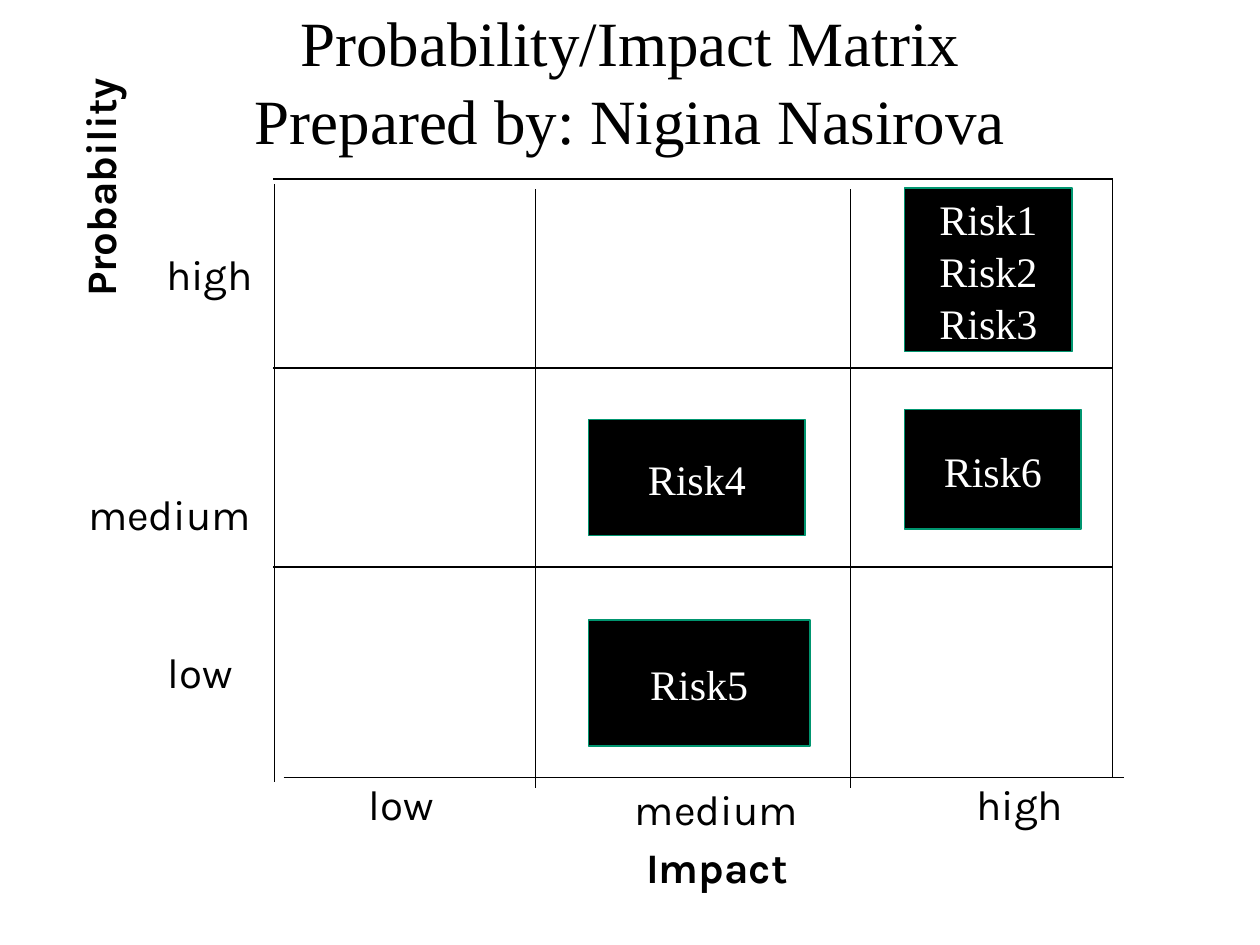
"""Builds a probability/impact risk matrix slide."""
from lxml.etree import SubElement
from pptx import Presentation
from pptx.dml.color import RGBColor
from pptx.enum.shapes import MSO_CONNECTOR, MSO_SHAPE
from pptx.enum.text import MSO_ANCHOR, MSO_AUTO_SIZE, PP_ALIGN
from pptx.oxml.ns import qn
from pptx.util import Inches, Pt


def rgb(value):
    return RGBColor.from_string(value)


class MatrixSlide:
    SERIF, SANS = "Times New Roman", "Karla"
    BLACK, WHITE, GREEN = "000000", "FFFFFF", "00956F"
    SPACING = 1.04

    def __init__(self, slide):
        self.s = slide

    def run(self, p, text, size, font, color, bold=False):
        r = p.add_run()
        r.text = text
        r.font.size = Pt(size)
        r.font.name = font
        r.font.bold = bold
        r.font.color.rgb = rgb(color)

    def title(self, lines):
        sp = self.s.shapes.title
        sp.left, sp.top, sp.width, sp.height = map(Inches, (0, 0, 10, 1.25))
        tf = sp.text_frame
        tf.auto_size = MSO_AUTO_SIZE.NONE
        tf.vertical_anchor = MSO_ANCHOR.MIDDLE
        p = tf.paragraphs[0]
        p.alignment = PP_ALIGN.CENTER
        p.line_spacing = self.SPACING
        for i, line in enumerate(lines):
            if i:
                p.add_line_break()
            self.run(p, line, 36, self.SERIF, self.BLACK)

    def label(self, text, left, top, width, bold=False, rotation=0):
        sp = self.s.shapes.add_textbox(*map(Inches, (left, top, width, 0.5)))
        sp.rotation = rotation
        tf = sp.text_frame
        tf.word_wrap = bool(rotation)
        tf.auto_size = MSO_AUTO_SIZE.NONE if rotation else MSO_AUTO_SIZE.SHAPE_TO_FIT_TEXT
        self.run(tf.paragraphs[0], text, 24, self.SANS, self.BLACK, bold)

    def line(self, x1, y1, x2, y2):
        ln = self.s.shapes.add_connector(
            MSO_CONNECTOR.STRAIGHT, *map(Inches, (x1, y1, x2, y2)))
        ln.line.color.rgb = rgb(self.BLACK)
        ln.line.width = Pt(0.75)
        SubElement(ln._element.spPr, qn("a:effectLst"))

    def risk_box(self, risks, left, top, width, height):
        sp = self.s.shapes.add_shape(
            MSO_SHAPE.RECTANGLE, *map(Inches, (left, top, width, height)))
        sp.shadow.inherit = False
        sp.fill.solid()
        sp.fill.fore_color.rgb = rgb(self.BLACK)
        sp.line.color.rgb = rgb(self.GREEN)
        sp.line.width = Pt(1)
        tf = sp.text_frame
        tf.vertical_anchor = MSO_ANCHOR.MIDDLE
        for i, risk in enumerate(risks):
            p = tf.add_paragraph() if i else tf.paragraphs[0]
            p.alignment = PP_ALIGN.CENTER
            p.line_spacing = self.SPACING
            self.run(p, risk, 24, self.SERIF, self.WHITE)


def main():
    prs = Presentation()
    prs.slide_width, prs.slide_height = Inches(10), Inches(7.5)
    m = MatrixSlide(prs.slides.add_slide(prs.slide_layouts[5]))

    m.title(["Probability/Impact Matrix", "Prepared by: Nigina Nasirova"])
    m.line(2.18, 1.46, 2.18, 6.21)

    m.label("Impact", 5.03, 6.63, 1.38, bold=True)
    m.label("Probability", -0.22, 1.19, 2.03, bold=True, rotation=270)
    widths = {"low": 0.75, "medium": 1.51, "high": 0.9}
    for level, left, top in [
        ("low", 1.23, 5.08), ("medium", 0.6, 3.83), ("high", 1.22, 1.92),
        ("low", 2.83, 6.13), ("medium", 4.94, 6.17), ("high", 7.65, 6.13),
    ]:
        m.label(level, left, top, widths[level])

    for y in (1.42, 2.92, 4.5):
        m.line(2.17, y, 8.83, y)
    for x in (4.25, 6.75):
        m.line(x, 6.25, x, 1.5)
    m.line(2.25, 6.17, 8.92, 6.17)
    m.line(8.83, 6.17, 8.83, 1.42)

    m.risk_box(["Risk1", "Risk2", "Risk3"], 7.18, 1.49, 1.33, 1.3)
    m.risk_box(["Risk4"], 4.67, 3.33, 1.72, 0.92)
    m.risk_box(["Risk5"], 4.67, 4.92, 1.76, 1)
    m.risk_box(["Risk6"], 7.18, 3.25, 1.4, 0.95)
    prs.save("out.pptx")


if __name__ == "__main__":
    main()
